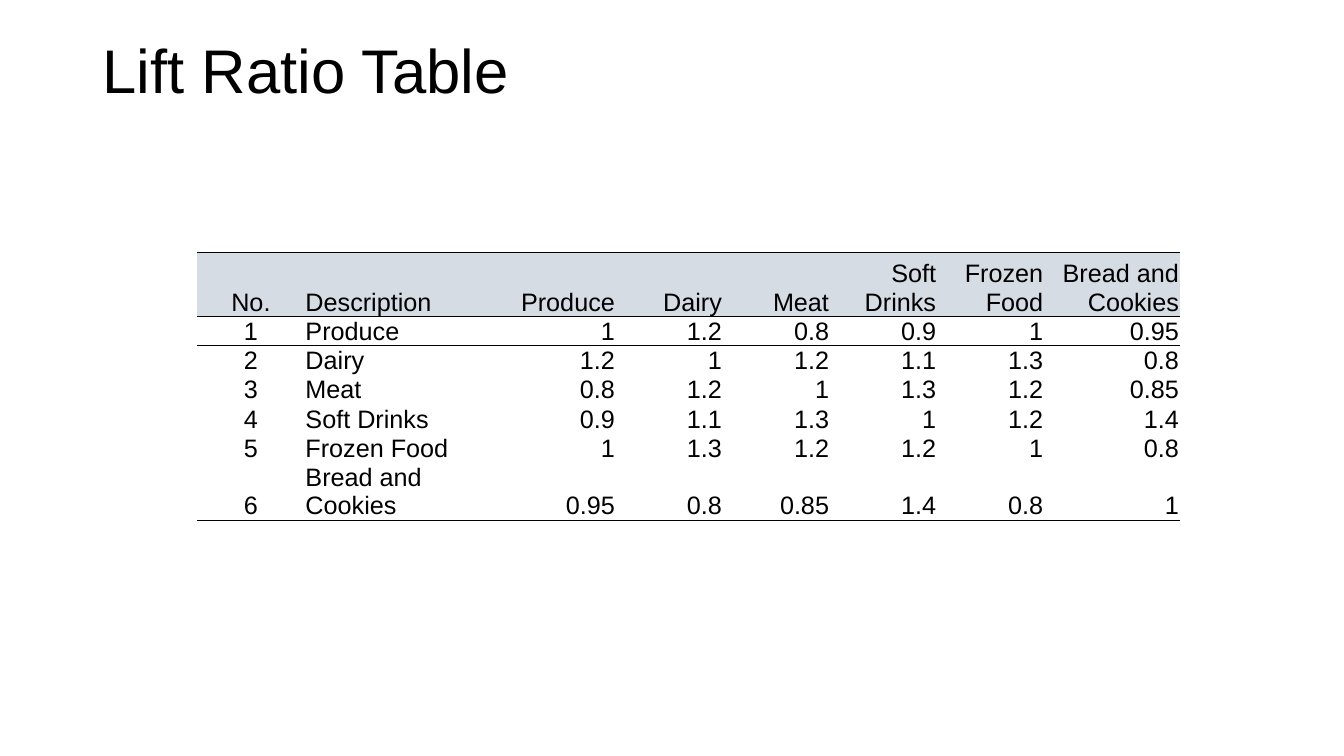
from lxml import etree
from pptx import Presentation
from pptx.dml.color import RGBColor
from pptx.enum.text import MSO_ANCHOR, PP_ALIGN
from pptx.oxml.ns import qn
from pptx.util import Pt

BLACK = RGBColor(0x00, 0x00, 0x00)
HEADER_FILL = RGBColor(0xD6, 0xDC, 0xE4)
FONT = "Arial"
NO_STYLE = "{2D5ABB26-0587-4C30-8999-92F81FD0307C}"
LEFT, CENTER, RIGHT = PP_ALIGN.LEFT, PP_ALIGN.CENTER, PP_ALIGN.RIGHT
MIDDLE, BOTTOM = MSO_ANCHOR.MIDDLE, MSO_ANCHOR.BOTTOM

PRODUCTS = ["Produce", "Dairy", "Meat", "Soft Drinks", "Frozen Food",
            "Bread and Cookies"]
LIFT_RATIOS = [
    ["1", "1.2", "0.8", "0.9", "1", "0.95"],
    ["1.2", "1", "1.2", "1.1", "1.3", "0.8"],
    ["0.8", "1.2", "1", "1.3", "1.2", "0.85"],
    ["0.9", "1.1", "1.3", "1", "1.2", "1.4"],
    ["1", "1.3", "1.2", "1.2", "1", "0.8"],
    ["0.95", "0.8", "0.85", "1.4", "0.8", "1"],
]
COLUMN_WIDTHS = [76.5, 146] + [76.5] * 5 + [97]
COLUMN_ALIGNS = [CENTER, LEFT] + [RIGHT] * 6
HEADER_HEIGHT, ROW_HEIGHT = 46, 15


def style_paragraph(p, size, align):
    p.alignment = align
    p.font.size = Pt(size)
    p.font.name = FONT
    p.font.color.rgb = BLACK


def add_title(s, text, left, top, width, height):
    title = s.shapes.title
    title.left, title.top = Pt(left), Pt(top)
    title.width, title.height = Pt(width), Pt(height)
    tf = title.text_frame
    tf.text = text
    tf.vertical_anchor = MIDDLE
    p = tf.paragraphs[0]
    p.line_spacing = 0.9
    style_paragraph(p, 44, LEFT)


def add_border(cell, side, width):
    """Rule one side of a cell: side is lnT or lnB, top before bottom."""
    tc_pr = cell._tc.get_or_add_tcPr()
    ln = etree.SubElement(tc_pr, qn(f"a:{side}"), w=str(Pt(width)))
    fill = etree.SubElement(ln, qn("a:solidFill"))
    etree.SubElement(fill, qn("a:srgbClr"), val=str(BLACK))


def fill_cell(cell, text, align):
    cell.margin_left = cell.margin_right = cell.margin_top = Pt(0.75)
    cell.margin_bottom = 0
    cell.vertical_anchor = BOTTOM
    cell.text = text
    style_paragraph(cell.text_frame.paragraphs[0], 18, align)


def add_lift_table(s, left, top, height):
    rows = [["No.", "Description"] + PRODUCTS]
    rows += [[str(number), product] + ratios for number, (product, ratios)
             in enumerate(zip(PRODUCTS, LIFT_RATIOS), 1)]
    last = len(rows) - 1
    # One empty row closes the table below the bottom rule.
    frame = s.shapes.add_table(len(rows) + 1, len(COLUMN_WIDTHS), Pt(left),
                               Pt(top), Pt(sum(COLUMN_WIDTHS)), Pt(height))
    table = frame.table
    table.first_row = table.horz_banding = False
    table._tbl.tblPr.find(qn("a:tableStyleId")).text = NO_STYLE
    for column, width in zip(table.columns, COLUMN_WIDTHS):
        column.width = Pt(width)
    for i, row in enumerate(table.rows):
        row.height = Pt(ROW_HEIGHT if i else HEADER_HEIGHT)
    frame.height = Pt(height)

    borders = {0: [("lnT", 0.5), ("lnB", 1)], 1: [("lnT", 1)],
               last: [("lnB", 0.5)], last + 1: [("lnT", 0.5)]}
    for i, row in enumerate(table.rows):
        for j, cell in enumerate(row.cells):
            if i <= last:
                fill_cell(cell, rows[i][j], COLUMN_ALIGNS[j])
            for side, width in borders.get(i, []):
                add_border(cell, side, width)
            if i == 0:
                cell.fill.solid()
                cell.fill.fore_color.rgb = HEADER_FILL
            else:
                cell.fill.background()


def main():
    prs = Presentation()
    prs.slide_width, prs.slide_height = Pt(960), Pt(540)
    s = prs.slides.add_slide(prs.slide_layouts[5])
    add_title(s, "Lift Ratio Table", 66, 0.5, 828, 104.5)
    add_lift_table(s, 141, 180, 224)
    prs.save("out.pptx")


if __name__ == "__main__":
    main()
